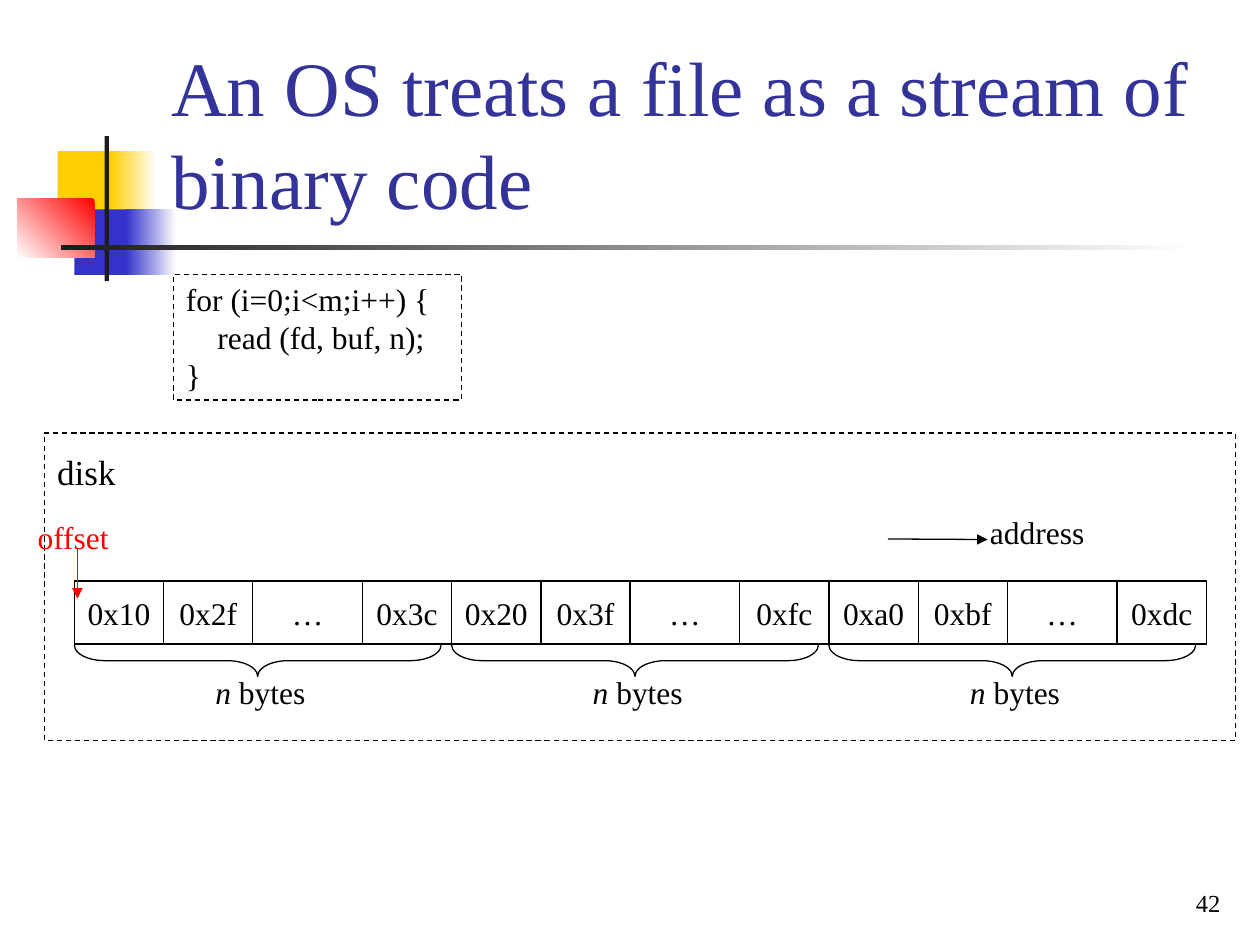
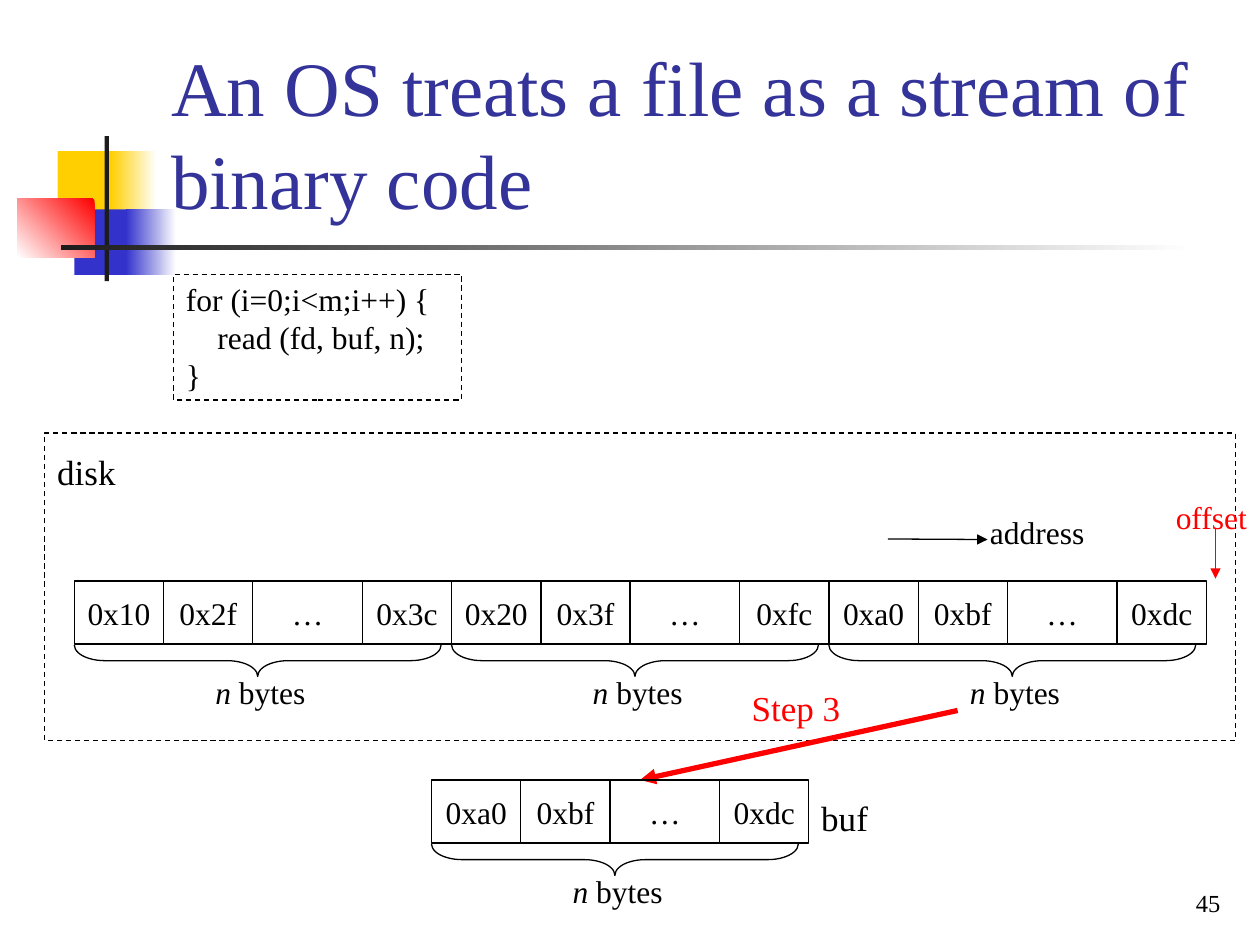
"""Build two slides that show a file being read as a stream of bytes."""
from lxml import etree
from pptx import Presentation
from pptx.dml.color import RGBColor
from pptx.enum.dml import MSO_LINE
from pptx.enum.shapes import MSO_CONNECTOR, MSO_SHAPE
from pptx.enum.text import MSO_ANCHOR, MSO_AUTO_SIZE, PP_ALIGN
from pptx.oxml.ns import qn
from pptx.util import Pt

RECTANGLE, BRACE = MSO_SHAPE.RECTANGLE, MSO_SHAPE.LEFT_BRACE
STRAIGHT = MSO_CONNECTOR.STRAIGHT
DASH = MSO_LINE.DASH
LEFT, CENTER, RIGHT = PP_ALIGN.LEFT, PP_ALIGN.CENTER, PP_ALIGN.RIGHT
TOP, MIDDLE, BOTTOM = MSO_ANCHOR.TOP, MSO_ANCHOR.MIDDLE, MSO_ANCHOR.BOTTOM
GROW = MSO_AUTO_SIZE.SHAPE_TO_FIT_TEXT

FONT = "Times New Roman"
COLORS = {
    "white": "FFFFFF", "black": "000000", "red": "FF0000", "title": "333399",
    "yellow": "FFCF01", "blue": "3333CC", "bar": "1C1C1C",
}
TITLE = "An OS treats a file as a stream of binary code"
CODE = "for (i=0;i<m;i++) {\n    read (fd, buf, n);\n}"
BLOCKS = [
    ("0x10", "0x2f", "…", "0x3c"),
    ("0x20", "0x3f", "…", "0xfc"),
    ("0xa0", "0xbf", "…", "0xdc"),
]
CELL_WIDTH, GAP_WIDTH, CELL_HEIGHT = 51, 62.6, 36
BLOCK_WIDTH = 3 * CELL_WIDTH + GAP_WIDTH
BRACE_WIDTH, BRACE_DEPTH = 209.6, 18
STREAM_LEFT, STREAM_TOP = 42.5, 332


def color(name):
    """Return the named colour."""
    return RGBColor.from_string(COLORS[name])


def write(box, text, size=18, ink="black", align=LEFT, anchor=TOP,
          wrap=False, italic_lead=""):
    """Fill a box with text, one paragraph a line, after an italic lead."""
    frame = box.text_frame
    frame.word_wrap = wrap
    frame.vertical_anchor = anchor
    for index, line in enumerate(text.split("\n")):
        para = frame.add_paragraph() if index else frame.paragraphs[0]
        para.alignment = align
        for words, italic in ((italic_lead, True), (line, False)):
            if words:
                span = para.add_run()
                span.text = words
                span.font.name = FONT
                span.font.size = Pt(size)
                span.font.italic = italic
                span.font.color.rgb = color(ink)


class Deck:
    """Hold the style and the current page."""

    def __init__(self):
        """Start an empty deck."""
        self.file = Presentation()
        self.file.slide_width, self.file.slide_height = Pt(720), Pt(540)
        self.page = None

    def shape(self, kind, left, top, width, height, dash=None):
        """Add an outlined shape without a fill."""
        shape = self.page.shapes.add_shape(
            kind, Pt(left), Pt(top), Pt(width), Pt(height))
        shape.shadow.inherit = False
        shape.fill.background()
        shape.line.color.rgb = color("black")
        shape.line.width = Pt(0.75)
        shape.line.dash_style = dash
        return shape

    def block(self, left, top, width, height, start, end=None, angle=180):
        """Add a borderless block, plain or with a gradient."""
        fill_shape = self.shape(RECTANGLE, left, top, width, height)
        fill_shape.line.fill.background()
        fill = fill_shape.fill
        if end is None:
            fill.solid()
            fill.fore_color.rgb = color(start)
            return
        fill.gradient()
        fill.gradient_angle = angle
        for stop, name in zip(fill.gradient_stops, (start, end)):
            stop.color.rgb = color(name)

    def text(self, text, left, top, width, height, **style):
        """Add a text box of fixed size."""
        box = self.page.shapes.add_textbox(
            Pt(left), Pt(top), Pt(width), Pt(height))
        write(box, text, **style)
        return box

    def label(self, text, left, top, width, height=29, **style):
        """Add a text box that fits its text."""
        box = self.text(text, left, top, width, height, **style)
        box.text_frame.auto_size = GROW

    def arrow(self, start, end, ink="black", width=0.75):
        """Add a line with an arrowhead at its end."""
        line = self.page.shapes.add_connector(
            STRAIGHT, *(Pt(length) for length in (*start, *end)))
        line.line.color.rgb = color(ink)
        line.line.width = Pt(width)
        properties = line._element.spPr
        outline = properties.find(qn("a:ln"))
        etree.SubElement(outline, qn("a:tailEnd"), type="triangle")
        etree.SubElement(properties, qn("a:effectLst"))

    def byte_block(self, values, left, top):
        """Add a row of byte cells with a brace and its label."""
        cell_left = left
        for value in values:
            width = GAP_WIDTH if value == "…" else CELL_WIDTH
            cell = self.shape(RECTANGLE, cell_left, top, width, CELL_HEIGHT)
            write(cell, value, align=CENTER, anchor=MIDDLE)
            cell_left += width
        middle_x = left + BRACE_WIDTH / 2
        middle_y = top + CELL_HEIGHT + BRACE_DEPTH / 2 + 0.5
        brace = self.shape(BRACE, middle_x - BRACE_DEPTH / 2,
                           middle_y - BRACE_WIDTH / 2,
                           BRACE_DEPTH, BRACE_WIDTH)
        brace.rotation = 270
        brace.adjustments[0] = 0.965
        self.text(" bytes", left + 73.5, top + 48.8, 72, 29,
                  wrap=True, italic_lead="n")

    def offset(self, left, top):
        """Add the red offset marker."""
        self.label("offset", left, top, 55.4, ink="red")
        arrow_left = left + 29.8
        self.arrow((arrow_left, top + 21), (arrow_left, top + 49.5), "red")

    def decoration(self):
        """Add the coloured squares and bars beside the title."""
        self.block(33, 86.4, 34.5, 37.4, "yellow")
        self.block(63.4, 86.4, 26, 37.4, "white", "yellow")
        self.block(42.5, 119.7, 33, 37.4, "blue")
        self.block(72, 119.7, 28.8, 37.4, "white", "blue")
        self.block(10, 113.7, 44, 33.3, "red", "white", 225)
        self.block(59.8, 77.8, 2.4, 82.8, "bar")
        self.block(34.6, 140.2, 648, 2.4, "white", "bar")

    def stream_page(self, number):
        """Start a page with the title, code, disk and stream."""
        layout = self.file.slide_layouts[6]
        self.page = self.file.slides.add_slide(layout)
        self.decoration()
        self.text(TITLE, 90.7, 16.6, 613.4, 115.2, size=44, ink="title",
                  anchor=BOTTOM, wrap=True)
        code = self.shape(RECTANGLE, 99.2, 156.7, 164.4, 72, DASH)
        write(code, CODE, anchor=MIDDLE)
        for index, values in enumerate(BLOCKS):
            self.byte_block(
                values, STREAM_LEFT + index * BLOCK_WIDTH, STREAM_TOP)
        self.arrow((507.4, 308), (564.3, 308.3))
        self.label("address", 558.6, 289.6, 68.4)
        self.shape(RECTANGLE, 25.4, 247.5, 680.6, 175.7, DASH)
        self.label("disk", 25.6, 253.6, 47.6, 31.5, size=20)
        self.text(number, 554.4, 491.6, 150, 36, size=14,
                  align=RIGHT, anchor=BOTTOM, wrap=True)


def main():
    """Build and save both pages."""
    deck = Deck()
    deck.stream_page("42")
    deck.offset(14.4, 292.6)

    deck.stream_page("45")
    deck.offset(664.8, 281.2)
    deck.label("buf", 462.2, 451.5, 41.3, 31.5, size=20)
    deck.arrow((547.2, 406), (365.8, 445.7), "red", 3)
    deck.label("Step 3", 422.4, 389, 65, 31.5, size=20, ink="red")
    deck.byte_block(BLOCKS[-1], 246.6, 445.7)
    deck.file.save("out.pptx")


if __name__ == "__main__":
    main()
